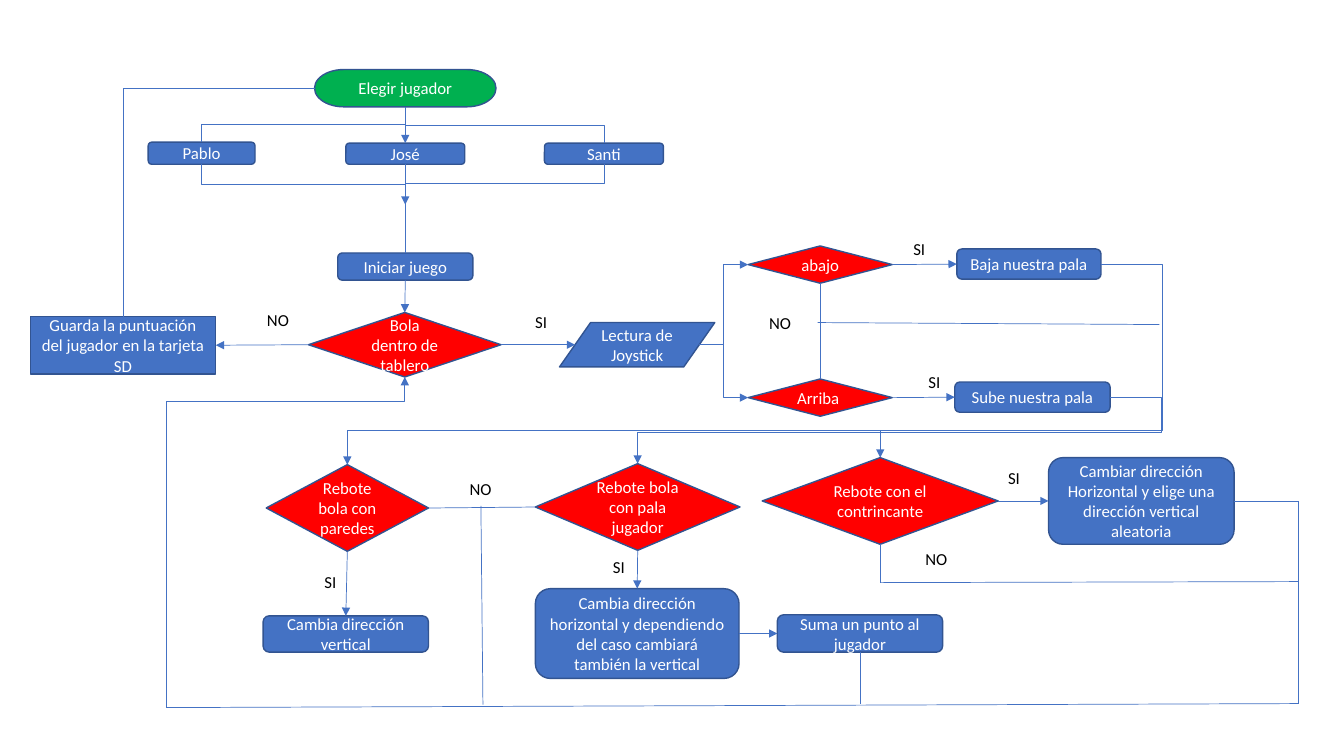
from lxml import etree
from pptx import Presentation
from pptx import util as u
from pptx.dml.color import RGBColor
from pptx.enum import shapes, text
from pptx.oxml.ns import qn

BLUE = RGBColor(0x44, 0x72, 0xC4)
EDGE = RGBColor(0x32, 0x54, 0x91)
GREEN = RGBColor(0x00, 0xB0, 0x50)
RED = RGBColor(0xFF, 0x00, 0x00)
WHITE = RGBColor(0xFF, 0xFF, 0xFF)
BLACK = RGBColor(0x00, 0x00, 0x00)

KIND = shapes.MSO_SHAPE
STYLES = {
    "start": (KIND.FLOWCHART_TERMINATOR, GREEN),
    "round": (KIND.ROUNDED_RECTANGLE, BLUE),
    "store": (KIND.RECTANGLE, BLUE),
    "input": (KIND.FLOWCHART_DATA, BLUE),
    "decision": (KIND.FLOWCHART_DECISION, RED),
    "process": (KIND.FLOWCHART_ALTERNATE_PROCESS, BLUE),
}

# Steps: name -> style, wording, (left, top, width, height)
STEPS = {
    "elegir": ("start", "Elegir jugador", (3.12, 0.69, 1.8, 0.37)),
    "pablo": ("round", "Pablo", (1.47, 1.41, 1.06, 0.22)),
    "jose": ("round", "José", (3.43, 1.42, 1.18, 0.21)),
    "santi": ("round", "Santi", (5.4, 1.42, 1.18, 0.21)),
    "iniciar": ("round", "Iniciar juego", (3.35, 2.51, 1.34, 0.27)),
    "bola": ("decision", "Bola dentro de tablero", (3.06, 3.1, 1.91, 0.64)),
    "guarda": ("store", "Guarda la puntuación del jugador en la tarjeta SD",
               (0.3, 3.14, 1.84, 0.57)),
    "lectura": ("input", "Lectura de Joystick", (5.55, 3.2, 1.54, 0.44)),
    "abajo": ("decision", "abajo", (7.42, 2.44, 1.43, 0.37)),
    "arriba": ("decision", "Arriba ", (7.42, 3.76, 1.43, 0.37)),
    "baja": ("process", "Baja nuestra pala", (9.49, 2.47, 1.43, 0.3)),
    "sube": ("process", "Sube nuestra pala", (9.47, 3.79, 1.54, 0.3)),
    "paredes": ("decision", "Rebote bola con paredes", (2.64, 4.61, 1.61, 0.86)),
    "pala": ("decision", "Rebote bola con pala jugador", (5.31, 4.6, 2.03, 0.86)),
    "rival": ("decision", "Rebote con el contrincante", (7.56, 4.54, 2.34, 0.86)),
    "aleatoria": ("process", "Cambiar dirección Horizontal y elige una dirección "
                  "vertical aleatoria", (10.4, 4.54, 1.84, 0.86)),
    "vertical": ("process", "Cambia dirección vertical", (2.61, 6.11, 1.64, 0.36)),
    "horizontal": ("process", "Cambia dirección horizontal y dependiendo del caso "
                   "cambiará también la vertical", (5.31, 5.84, 2.02, 0.89)),
    "punto": ("process", "Suma un punto al jugador", (7.71, 6.1, 1.64, 0.37)),
}

# Answers beside the decisions: wording -> (left, top) of each label
ANSWERS = {
    "SI": [(5.21, 3.04), (8.96, 2.32), (9.9, 4.59), (3.12, 5.62), (9.11, 3.64),
           (5.98, 5.47)],
    "NO": [(7.53, 3.05), (2.55, 3.02), (4.56, 4.7), (9.08, 5.39)],
}
ANSWER_SIZE = (0.7, 0.3)

# An end is "step.side" or a point
MERGE = (4.02, 2.03)
RETURN_LEFT, RETURN_RIGHT = (1.65, 7.02), (12.88, 6.98)
ARROWS = [
    ("elegir.bottom", "jose.top"), ("jose.bottom", MERGE),
    ("iniciar.bottom", "bola.top"), ("bola.right", "lectura.left"),
    ("bola.left", "guarda.right"), ("abajo.right", "baja.left"),
    ("arriba.right", "sube.left"), ("pala.bottom", "horizontal.top"),
    ("horizontal.right", "punto.left"), ("rival.right", "aleatoria.left"),
    ("paredes.bottom", "vertical.top"), ((8.73, 4.28), "rival.top"),
]
LINES = [
    ("abajo.bottom", "arriba.top"), ("pala.left", "paredes.right"),
    ((4.77, 5.02), (4.79, 6.99)), ((12.88, 4.97), RETURN_RIGHT),
    ("rival.bottom", (8.73, 5.78)), ("aleatoria.right", (12.88, 4.97)),
    ((8.73, 5.78), (12.88, 5.77)), ((8.53, 6.98), "punto.bottom"),
    ((8.11, 3.2), (11.5, 3.22)), (RETURN_LEFT, RETURN_RIGHT),
]
# Elbows: from, to, leaves vertically, arrowhead, preset, bends as share of the span
ELBOWS = [
    ("elegir.bottom", "santi.top", True, False, "bentConnector3", [0.5]),
    ("elegir.bottom", "pablo.top", True, False, "bentConnector3", [0.5]),
    ("pablo.bottom", MERGE, True, False, "bentConnector3", [0.5]),
    ("santi.bottom", "iniciar.top", True, False, "bentConnector3", [0.215]),
    ("lectura.right", "arriba.left", False, True, "bentConnector3", [0.5]),
    ("lectura.right", "abajo.left", False, True, "bentConnector3", [0.5]),
    ("baja.right", "paredes.top", False, True, "bentConnector4", [-0.081, 0.828]),
    ("sube.right", "pala.top", False, True, "bentConnector4", [-0.108, 0.531]),
    (RETURN_LEFT, "bola.bottom", True, True, "bentConnector3", [0.926]),
    ("guarda.top", "elegir.left", True, False, "bentConnector2", []),
]
SIDES = {"top": (0.5, 0), "bottom": (0.5, 1), "left": (0, 0.5), "right": (1, 0.5)}


def write(box, wording, color, align):
    frame = box.text_frame
    frame.word_wrap = True
    para = frame.paragraphs[0]
    para.alignment = align
    span = para.add_run()
    span.text = wording
    for key, value in {"name": "Calibri", "size": u.Pt(12)}.items():
        setattr(span.font, key, value)
    span.font.color.rgb = color
    return frame


def locate(end):
    if isinstance(end, tuple):
        return end
    name, side = end.split(".")
    style, _, (left, top, width, height) = STEPS[name]
    across, down = SIDES[side]
    if style == "input":  # slanted sides meet the middle a tenth further in
        across = 0.1 + 0.8 * across
    return left + width * across, top + height * down


def connect(page, kind, start, end, arrow):
    line = page.shapes.add_connector(kind, *map(u.Inches, (*start, *end)))
    line.line.color.rgb = BLUE
    line.line.width = u.Pt(0.5)
    if arrow:
        etree.SubElement(line.line._get_or_add_ln(), qn("a:tailEnd"), type="triangle")
    etree.SubElement(line._element.spPr, qn("a:effectLst"))
    return line


def connect_elbow(page, start, end, vertical, arrow, preset, bends):
    (x1, y1), (x2, y2) = start, end
    turn = 0
    if vertical:  # lay the span flat about its centre, then turn it
        turn = 90 if y2 > y1 else 270
        mid_x, mid_y = (x1 + x2) / 2, (y1 + y2) / 2
        half_w = abs(y2 - y1) / 2
        half_h = (x1 - x2) / 2 if turn == 90 else (x2 - x1) / 2
        start, end = (mid_x - half_w, mid_y - half_h), (mid_x + half_w, mid_y + half_h)
    line = connect(page, shapes.MSO_CONNECTOR.ELBOW, start, end, arrow)
    props = line._element.spPr
    props.find(qn("a:xfrm")).set("rot", str(turn * 60000))
    outline = props.find(qn("a:prstGeom"))
    outline.set("prst", preset)
    guides = outline.find(qn("a:avLst"))
    if guides is None:
        guides = etree.SubElement(outline, qn("a:avLst"))
    for number, share in enumerate(bends, 1):
        etree.SubElement(guides, qn("a:gd"), name=f"adj{number}",
                         fmla=f"val {round(share * 100000)}")


def main():
    deck = Presentation()
    deck.slide_width, deck.slide_height = u.Inches(13.33), u.Inches(7.5)
    page = deck.slides.add_slide(deck.slide_layouts[6])

    # Steps
    for style, wording, place in STEPS.values():
        kind, fill = STYLES[style]
        box = page.shapes.add_shape(kind, *map(u.Inches, place))
        box.shadow.inherit = False
        box.fill.solid()
        box.fill.fore_color.rgb = fill
        box.line.color.rgb = EDGE
        box.line.width = u.Pt(1)
        frame = write(box, wording, WHITE, text.PP_ALIGN.CENTER)
        frame.vertical_anchor = text.MSO_ANCHOR.MIDDLE

    # Answers
    for wording, places in ANSWERS.items():
        for place in places:
            box = page.shapes.add_textbox(*map(u.Inches, (*place, *ANSWER_SIZE)))
            frame = write(box, wording, BLACK, text.PP_ALIGN.LEFT)
            frame.auto_size = text.MSO_AUTO_SIZE.SHAPE_TO_FIT_TEXT

    # Connections
    for links, arrow in ((ARROWS, True), (LINES, False)):
        for start, end in links:
            connect(page, shapes.MSO_CONNECTOR.STRAIGHT, locate(start), locate(end), arrow)
    for start, end, *route in ELBOWS:
        connect_elbow(page, locate(start), locate(end), *route)

    deck.save("out.pptx")


if __name__ == "__main__":
    main()
